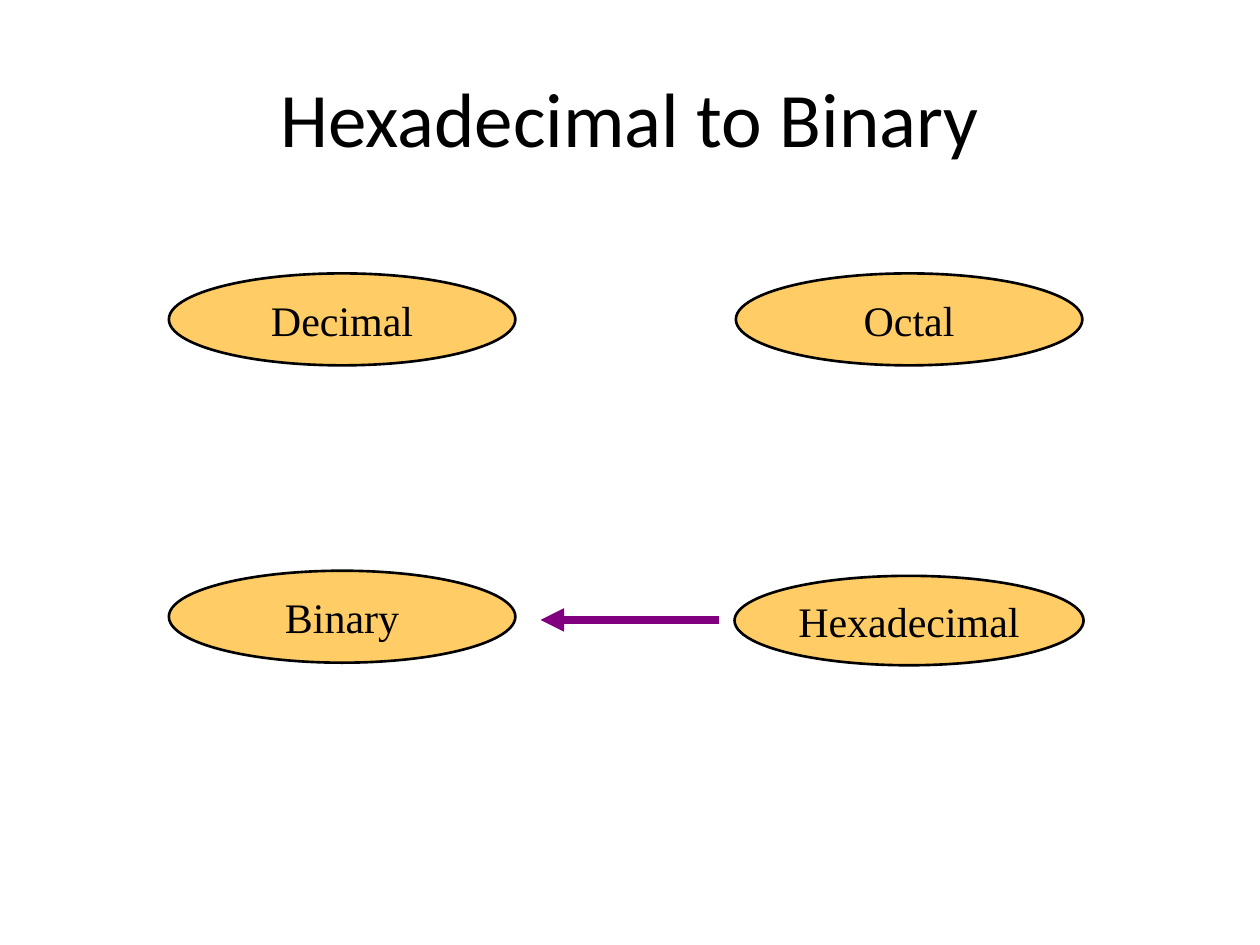
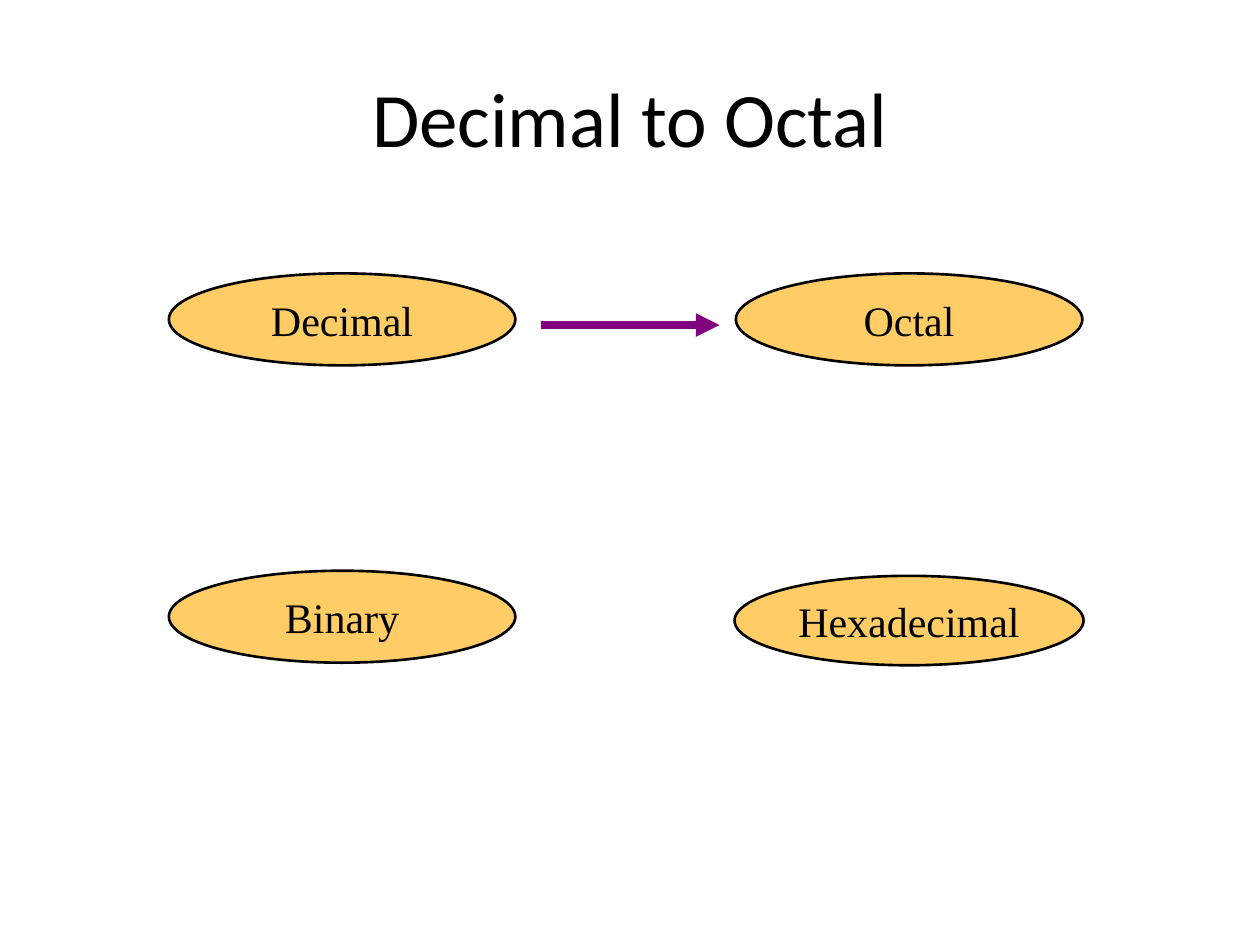
"""Build two slides showing conversions between number bases."""
from lxml import etree
from pptx import Presentation
from pptx.dml.color import RGBColor
from pptx.enum.shapes import MSO_CONNECTOR, MSO_SHAPE
from pptx.enum.text import MSO_ANCHOR, PP_ALIGN
from pptx.oxml.ns import qn
from pptx.util import Inches, Pt

CONVERSIONS = [("Hexadecimal", "Binary"), ("Decimal", "Octal")]
BASES = {
    "Hexadecimal": (1, 1),
    "Decimal": (0, 0),
    "Octal": (1, 0),
    "Binary": (0, 1),
}

BLACK = RGBColor(0x00, 0x00, 0x00)
AMBER = RGBColor(0xFF, 0xCC, 0x66)
PURPLE = RGBColor(0x80, 0x00, 0x80)
TITLE_FONT, TITLE_SIZE = "Calibri", 44
BASE_FONT, BASE_SIZE = "Times New Roman", 24

OVAL = MSO_SHAPE.OVAL
STRAIGHT = MSO_CONNECTOR.STRAIGHT
MIDDLE = MSO_ANCHOR.MIDDLE
CENTER = PP_ALIGN.CENTER

SLIDE_WIDTH, SLIDE_HEIGHT = 10, 7.5
TITLE_BOX = (0.5, 0.3, 9, 1.25)
GRID_LEFT, GRID_TOP = 1.34, 2.17
COLUMN_STEP, ROW_STEP = 4.5, 2.36
OVAL_SIZE = (2.75, 0.73)
WIDE_OVALS = {"Hexadecimal": (5.83, 4.57, 2.77, 0.71)}
ARROW_ENDS = (4.29, 5.71)
ARROW_ROWS = (2.58, 4.92)


def write(shape, text, font_name, size):
    """Put one centred line of text in a shape."""
    frame = shape.text_frame
    frame.vertical_anchor = MIDDLE
    paragraph = frame.paragraphs[0]
    paragraph.alignment = CENTER
    run = paragraph.add_run()
    run.text = text
    run.font.name = font_name
    run.font.size = Pt(size)
    run.font.color.rgb = BLACK


def add_title(slide, text):
    """Add the slide title."""
    title = slide.shapes.add_textbox(*map(Inches, TITLE_BOX))
    title.text_frame.word_wrap = True
    write(title, text, TITLE_FONT, TITLE_SIZE)


def add_base(slide, name):
    """Add the oval of one number base at its grid place."""
    column, row = BASES[name]
    place = (GRID_LEFT + column * COLUMN_STEP, GRID_TOP + row * ROW_STEP, *OVAL_SIZE)
    oval = slide.shapes.add_shape(OVAL, *map(Inches, WIDE_OVALS.get(name, place)))
    oval.shadow.inherit = False
    oval.fill.solid()
    oval.fill.fore_color.rgb = AMBER
    oval.line.color.rgb = BLACK
    oval.line.width = Pt(1.5)
    oval.text_frame.word_wrap = False
    write(oval, name, BASE_FONT, BASE_SIZE)


def add_arrow(slide, source, target):
    """Add the arrow between two bases of the same row."""
    source_column, row = BASES[source]
    target_column = BASES[target][0]
    y = Inches(ARROW_ROWS[row])
    arrow = slide.shapes.add_connector(
        STRAIGHT, Inches(ARROW_ENDS[source_column]), y, Inches(ARROW_ENDS[target_column]), y)
    arrow.line.color.rgb = PURPLE
    arrow.line.width = Pt(4.5)
    properties = arrow.line._get_or_add_ln()
    etree.SubElement(properties, qn("a:tailEnd"), type="triangle")
    etree.SubElement(arrow._element.spPr, qn("a:effectLst"))


def main():
    """Create and save the presentation."""
    presentation = Presentation()
    presentation.slide_width = Inches(SLIDE_WIDTH)
    presentation.slide_height = Inches(SLIDE_HEIGHT)
    blank = presentation.slide_layouts[6]
    for source, target in CONVERSIONS:
        slide = presentation.slides.add_slide(blank)
        add_title(slide, f"{source} to {target}")
        for name in BASES:
            add_base(slide, name)
        add_arrow(slide, source, target)
    presentation.save("out.pptx")


if __name__ == "__main__":
    main()
